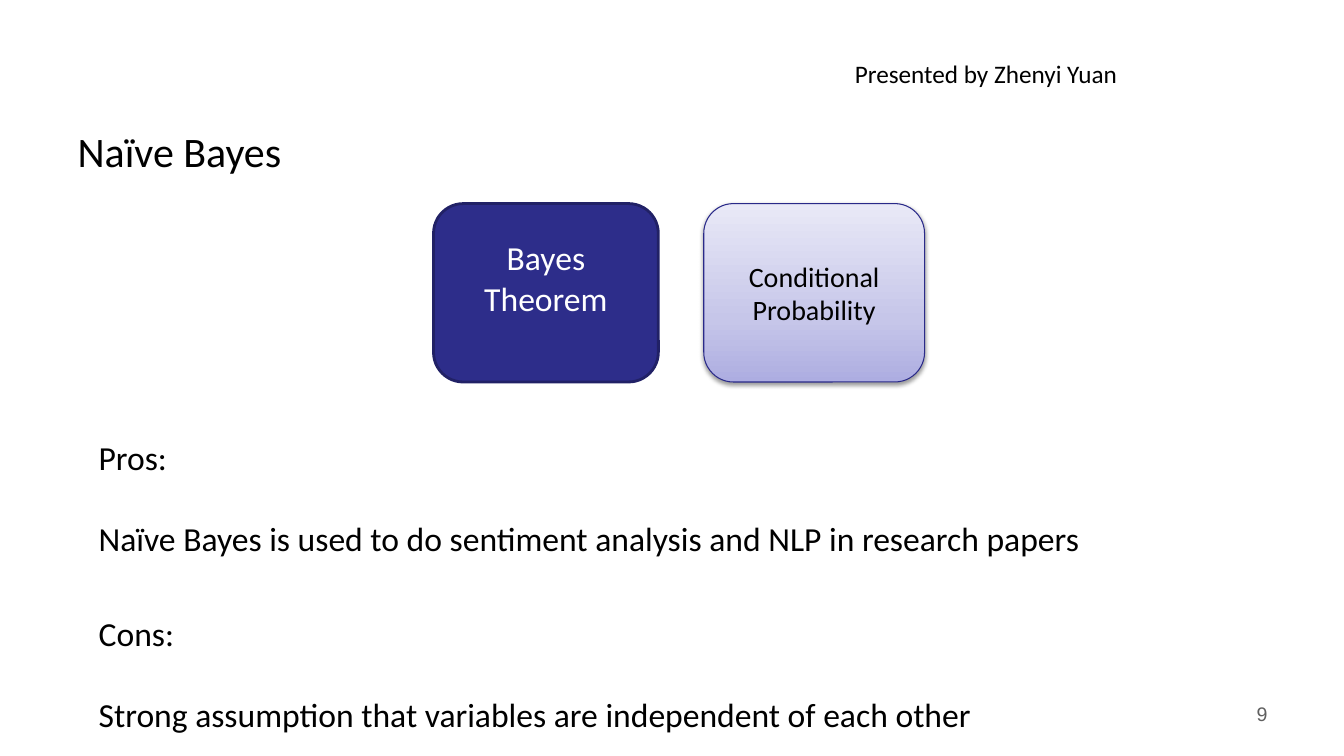
"""Build the Naïve Bayes slide: two concept boxes above pros and cons."""
from lxml import etree
from copy import deepcopy
from pptx import Presentation, util as u
from pptx.dml.color import RGBColor
from pptx.enum import shapes, text
from pptx.oxml.ns import qn

BLACK = RGBColor(0x00, 0x00, 0x00)
WHITE = RGBColor(0xFF, 0xFF, 0xFF)
GRAY = RGBColor(0x5F, 0x5F, 0x5F)
NAVY = RGBColor(0x2D, 0x2D, 0x8A)
NAVY_EDGE = RGBColor(0x21, 0x21, 0x66)
PALE_EDGE = RGBColor(0x2A, 0x2A, 0x89)
PALE_STOPS = [(0, RGBColor(0xAD, 0xAD, 0xE1)), (0.35, RGBColor(0xC6, 0xC6, 0xE9)),
              (1, RGBColor(0xE9, 0xE9, 0xF7))]

WIDTH, HEIGHT = 13.33, 7.5
TITLE = "Naïve Bayes"
PRESENTER = "Presented by Zhenyi Yuan"
PAGE = "9"
BOX_TOP, BOX_HEIGHT = 2.02, 1.77
THEOREM = ("Bayes Theorem", 4.3, 2.23)
PROBABILITY = ("Conditional Probability", 6.98, 2.19)
ARGUMENTS = [
    (3.87, 11.26, ["Pros:", "Naïve Bayes is used to do sentiment analysis and NLP in research papers"]),
    (5.62, 9.69, ["Cons:", "Strong assumption that variables are independent of each other"]),
]
ARGUMENT_LEFT, ARGUMENT_HEIGHT = 0.88, 1.72
BLANK_LINE = 29.3


def write(shape, lines, size=24, color=BLACK, font="Calibri", align=text.PP_ALIGN.LEFT,
          anchor=text.MSO_ANCHOR.TOP, gap=0, top=0.05, bottom=0.05):
    """Put lines of text into a shape with one format."""
    frame = shape.text_frame
    frame.word_wrap = True
    frame.auto_size = text.MSO_AUTO_SIZE.NONE
    frame.vertical_anchor = anchor
    frame.margin_top, frame.margin_bottom = u.Inches(top), u.Inches(bottom)
    for index, line in enumerate(lines):
        paragraph = frame.add_paragraph() if index else frame.paragraphs[0]
        paragraph.alignment = align
        paragraph.space_before = u.Pt(gap if index else 0)
        run = paragraph.add_run()
        run.text = line
        run.font.size, run.font.name = u.Pt(size), font
        run.font.color.rgb = color


def add_text(slide, place, lines, **style):
    """Add a text box at left, top, width, height."""
    write(slide.shapes.add_textbox(*map(u.Inches, place)), lines, **style)


def add_box(slide, concept, edge, weight, **style):
    """Add a rounded concept box."""
    label, left, width = concept
    place = map(u.Inches, (left, BOX_TOP, width, BOX_HEIGHT))
    box = slide.shapes.add_shape(shapes.MSO_SHAPE.ROUNDED_RECTANGLE, *place)
    box.shadow.inherit = False
    box.line.color.rgb, box.line.width = edge, u.Pt(weight)
    write(box, [label], align=text.PP_ALIGN.CENTER, anchor=text.MSO_ANCHOR.MIDDLE, **style)
    return box


def fill_gradient(box, stops):
    """Fill a box from bottom to top with the given stops."""
    box.fill.gradient()
    box.fill.gradient_angle = 90
    stop_list = box.fill._fill._gradFill.find(qn("a:gsLst"))
    stop_list.insert(1, deepcopy(stop_list[0]))
    for stop, (position, color) in zip(box.fill.gradient_stops, stops):
        stop.position, stop.color.rgb = position, color


def add_shadow(box):
    """Give a box a soft shadow below it."""
    effects = box._element.spPr.find(qn("a:effectLst"))
    shadow = etree.SubElement(effects, qn("a:outerShdw"), blurRad=str(u.Pt(3.1)),
                              dist=str(u.Pt(1.6)), dir="5400000", rotWithShape="0")
    color = etree.SubElement(shadow, qn("a:srgbClr"), val=str(BLACK))
    etree.SubElement(color, qn("a:alpha"), val="38000")


def main():
    presentation = Presentation()
    presentation.slide_width, presentation.slide_height = u.Inches(WIDTH), u.Inches(HEIGHT)
    slide = presentation.slides.add_slide(presentation.slide_layouts[5])

    title = slide.shapes.title
    title.left, title.top, title.width, title.height = map(u.Inches, (0.67, 1.06, 12, 0.88))
    write(title, [TITLE], size=30, anchor=text.MSO_ANCHOR.MIDDLE)

    theorem = add_box(slide, THEOREM, NAVY_EDGE, 2, color=WHITE, bottom=0.35)
    theorem.fill.solid()
    theorem.fill.fore_color.rgb = NAVY
    probability = add_box(slide, PROBABILITY, PALE_EDGE, 0.75, size=20)
    fill_gradient(probability, PALE_STOPS)
    add_shadow(probability)

    for top, width, lines in ARGUMENTS:
        add_text(slide, (ARGUMENT_LEFT, top, width, ARGUMENT_HEIGHT), lines,
                 gap=BLANK_LINE, top=0.46)
    add_text(slide, (8.38, 0.53, WIDTH - 8.38, 0.4), [PRESENTER], size=18)
    add_text(slide, (9.56, 6.91, 3.11, 0.52), [PAGE], size=14, color=GRAY, font="Arial",
             align=text.PP_ALIGN.RIGHT)
    presentation.save("out.pptx")


if __name__ == "__main__":
    main()
